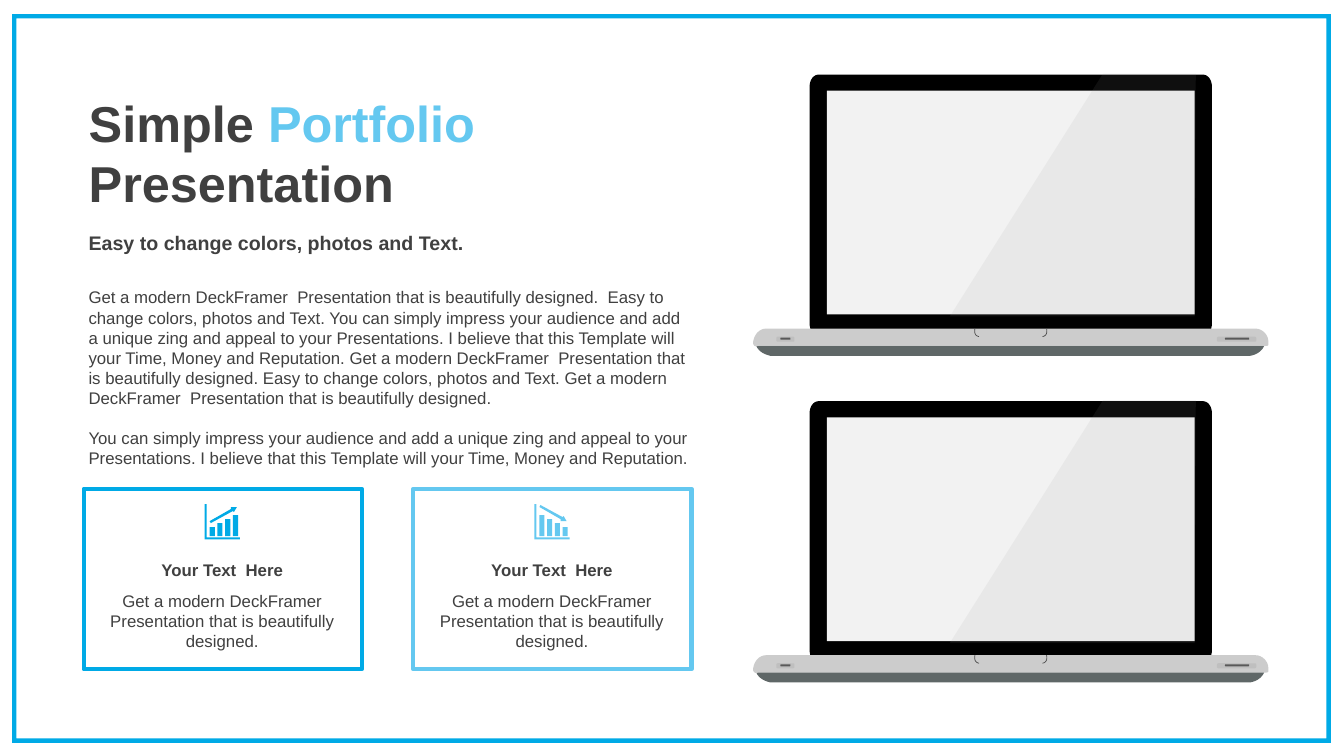
from pptx import Presentation
from pptx.dml.color import RGBColor
from pptx.enum.shapes import MSO_SHAPE
from pptx.enum.text import MSO_ANCHOR, MSO_AUTO_SIZE, PP_ALIGN
from pptx.oxml import parse_xml
from pptx.oxml.ns import nsdecls
from pptx.util import Inches, Pt

RECT, ROUND, FRAME = MSO_SHAPE.RECTANGLE, MSO_SHAPE.ROUNDED_RECTANGLE, MSO_SHAPE.FRAME
TOP, FIXED = MSO_ANCHOR.TOP, MSO_AUTO_SIZE.NONE
LEFT, CENTER = PP_ALIGN.LEFT, PP_ALIGN.CENTER
BLUE, SKY, DARK, WHITE = "00AAE6", "64C8F0", "404040", "FFFFFF"
FONT = "Arial"
STEPS = 8

INTRO = (
    "Get a modern DeckFramer  Presentation that is beautifully designed.  Easy to change "
    "colors, photos and Text. You can simply impress your audience and add a unique zing and "
    "appeal to your Presentations. I believe that this Template will your Time, Money and "
    "Reputation. Get a modern DeckFramer  Presentation that is beautifully designed. Easy to "
    "change colors, photos and Text. Get a modern DeckFramer  Presentation that is "
    "beautifully designed."
)
CLOSING = (
    "You can simply impress your audience and add a unique zing and appeal to your "
    "Presentations. I believe that this Template will your Time, Money and Reputation."
)
CARD = "Get a modern DeckFramer Presentation that is beautifully designed."

# Laptop outlines: pairs are corners, sextuples are cubic curves.
FOOT = [(12.4, 3.53), (12.4, 3.53, 12.5, 3.52, 12.54, 3.43), (7.5, 3.43),
        (7.53, 3.5, 7.6, 3.52, 7.64, 3.53)]
LID = [(12.02, 3.21), (12.02, 3.28, 11.98, 3.33, 11.93, 3.33), (8.12, 3.33),
       (8.07, 3.33, 8.03, 3.28, 8.03, 3.21), (8.03, 0.86),
       (8.03, 0.79, 8.07, 0.74, 8.12, 0.74), (11.93, 0.74),
       (11.98, 0.74, 12.02, 0.79, 12.02, 0.86)]
BASE = [(7.6, 3.26), (12.45, 3.26), (12.52, 3.26, 12.58, 3.32, 12.58, 3.39),
        (12.58, 3.42), (12.58, 3.42, 12.58, 3.44, 12.53, 3.43), (7.52, 3.43),
        (7.5, 3.44, 7.48, 3.44, 7.47, 3.41), (7.47, 3.39),
        (7.48, 3.32, 7.53, 3.26, 7.6, 3.26)]
NOTCH = [[(9.67, 3.26), (9.67, 3.26, 9.65, 3.33, 9.71, 3.34)],
         [(10.38, 3.26), (10.38, 3.26, 10.4, 3.33, 10.34, 3.34)]]
GLARE = [(10.94, 0.73), (11.86, 0.73), (11.85, 3.14), (9.42, 3.14)]
PORTS = [(7.7, 3.34, 0.18, 0.05, "BFBFBF"), (7.74, 3.35, 0.1, 0.02, "595959"),
         (12.07, 3.34, 0.39, 0.05, "BFBFBF"), (12.15, 3.35, 0.24, 0.02, "595959")]


def color(code):
    return RGBColor.from_string(code)


def paint(shape, fill=None, line=None, width=0):
    shape.shadow.inherit = False
    for part, code in ((shape.fill, fill), (shape.line.fill, line)):
        if code:
            part.solid()
            part.fore_color.rgb = color(code)
        else:
            part.background()
    if line:
        shape.line.width = Pt(width)
    return shape


def add_box(slide, kind, x, y, w, h, fill, line=None, width=0, adj=None):
    shape = slide.shapes.add_shape(kind, Inches(x), Inches(y), Inches(w), Inches(h))
    if adj is not None:
        shape.adjustments[0] = adj
    return paint(shape, fill, line, width)


def flatten(outline):
    """Turn an outline with cubic curves into plain points."""
    points = []
    for step in outline:
        if len(step) == 2:
            points.append(step)
            continue
        (ax, ay), (bx, by, cx, cy, dx, dy) = points[-1], step
        for i in range(1, STEPS + 1):
            t = i / STEPS
            u = 1 - t
            a, b, c, d = u ** 3, 3 * u * u * t, 3 * u * t * t, t ** 3
            points.append((a * ax + b * bx + c * cx + d * dx,
                           a * ay + b * by + c * cy + d * dy))
    return points


def add_free(slide, outlines, x=0, y=0, close=True):
    paths = [[(Inches(x + px), Inches(y + py)) for px, py in flatten(outline)]
             for outline in outlines]
    pen = slide.shapes.build_freeform(*paths[0][0])
    for i, points in enumerate(paths):
        if i:
            pen.move_to(*points[0])
        pen.add_line_segments(points[1:], close=close)
    return pen.convert_to_shape()


def add_laptop(slide, y):
    paint(add_free(slide, [FOOT], y=y), "5F6767")
    paint(add_free(slide, [LID], y=y), "000000")
    add_box(slide, RECT, 8.2, 0.9 + y, 3.65, 2.22, "F2F2F2")
    paint(add_free(slide, [BASE], y=y), "CCCCCC")
    paint(add_free(slide, NOTCH, y=y, close=False), line="4D4D4D", width=0.5)
    for left, top, w, h, fill in PORTS:
        add_box(slide, ROUND, left, top + y, w, h, fill, adj=0.28)
    glare = paint(add_free(slide, [GLARE], y=y), "999999")
    tint = glare.fill._xPr.solidFill[0]
    tint.append(parse_xml(f'<a:alpha {nsdecls("a")} val="10000"/>'))


def style(para, size, bold=False, align=LEFT):
    para.alignment = align
    font = para.font
    font.name, font.size, font.bold = FONT, Pt(size), bold
    font.color.rgb = color(DARK)


def add_text(slide, x, y, w, h, lines, size=12, bold=False, align=LEFT, gap=0):
    box = slide.shapes.add_textbox(Inches(x), Inches(y), Inches(w), Inches(h))
    frame = box.text_frame
    frame.word_wrap = True
    for i, line in enumerate(lines):
        para = frame.add_paragraph() if i else frame.paragraphs[0]
        para.text = line
        style(para, size, bold, align)
        if i and gap:
            para.space_before = Pt(gap)


def set_title(slide):
    title = slide.shapes.title
    title.left, title.top = Inches(0.78), Inches(0.86)
    title.width, title.height = Inches(4.25), Inches(1.31)
    frame = title.text_frame
    frame.auto_size, frame.vertical_anchor = FIXED, TOP
    first, second = frame.paragraphs[0], frame.add_paragraph()
    first.add_run().text = "Simple "
    accent = first.add_run()
    accent.text = "Portfolio"
    accent.font.color.rgb = color(SKY)
    second.text = "Presentation"
    for para in (first, second):
        style(para, 36, True)


def block(x, y, right, bottom):
    return [(x, y), (right, y), (right, bottom), (x, bottom)]


def add_icon(slide, x, y, fill, rising):
    """Draw a bar chart symbol with an arrow."""
    tops = [0.23, 0.19, 0.15, 0.11]
    arrow = [(0.26, 0.03), (0.32, 0.03), (0.29, 0.08), (0.28, 0.07),
             (0.06, 0.19), (0.05, 0.17), (0.26, 0.05)]
    if not rising:
        tops.reverse()
        arrow = [(px, 0.2 - py) for px, py in arrow]
    bars = [block(0.05 + 0.077 * i, top, 0.1 + 0.077 * i, 0.32)
            for i, top in enumerate(tops)]
    axes = [(0, 0), (0.02, 0), (0.02, 0.33), (0.35, 0.33), (0.35, 0.35), (0, 0.35)]
    paint(add_free(slide, bars + [arrow, axes], x, y), fill)


def add_card(slide, x, tone, rising):
    add_box(slide, RECT, x, 4.85, 2.76, 1.79, WHITE, tone, 3)
    add_text(slide, x + 0.16, 5.81, 2.43, 0.71, [CARD], align=CENTER)
    add_text(slide, x + 0.16, 5.5, 2.43, 0.3, ["Your Text  Here"], bold=True, align=CENTER)
    add_icon(slide, x + 1.2, 5, tone, rising)


def main():
    deck = Presentation()
    deck.slide_width, deck.slide_height = Inches(13.33), Inches(7.5)
    slide = deck.slides.add_slide(deck.slide_layouts[5])
    add_box(slide, FRAME, 0.12, 0.14, 13.08, 7.23, BLUE, adj=0.006)
    for y in (0, 3.24):
        add_laptop(slide, y)
    set_title(slide)
    add_text(slide, 0.78, 2.24, 4.25, 0.34, ["Easy to change colors, photos and Text."], 14, True)
    add_text(slide, 0.78, 2.8, 6.2, 1.92, [INTRO, CLOSING], gap=14)
    add_card(slide, 0.83, BLUE, True)
    add_card(slide, 4.1, SKY, False)
    deck.save("out.pptx")


if __name__ == "__main__":
    main()
